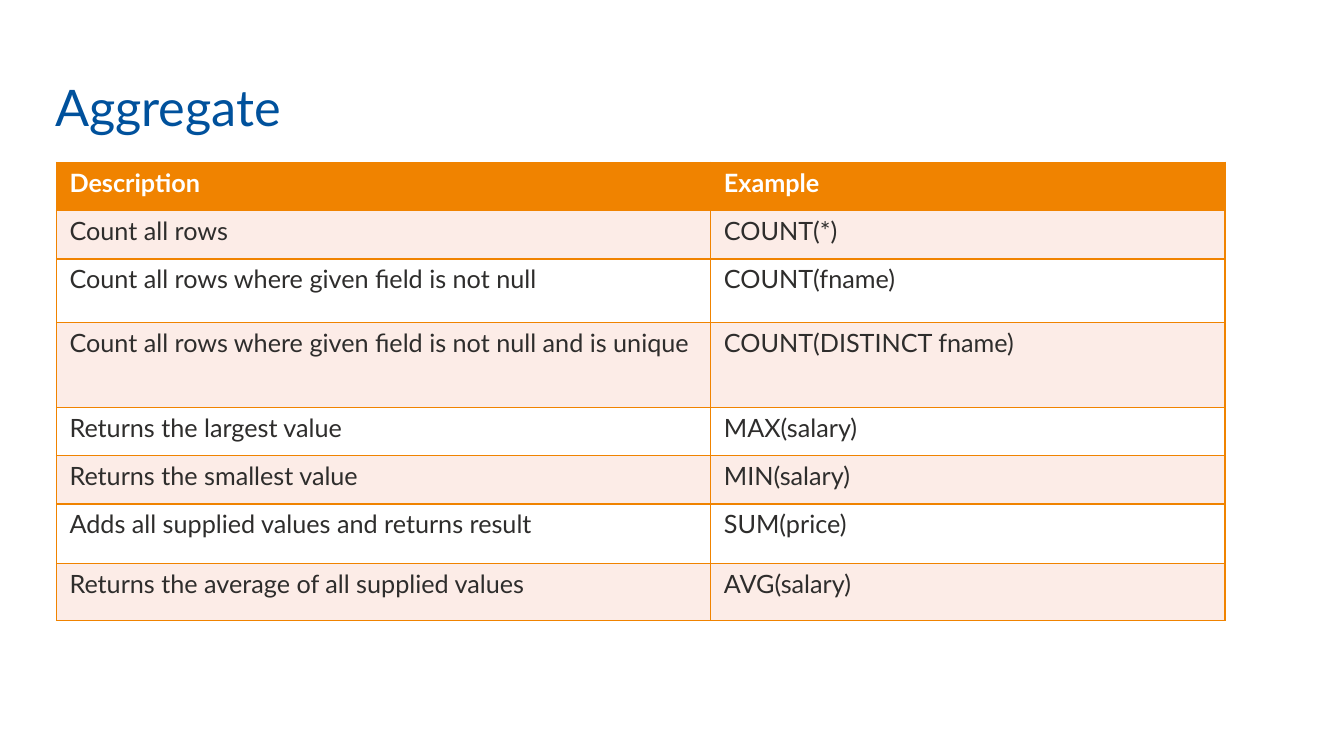
import pptx
import pptx.dml.color
import pptx.enum.text
import pptx.oxml.ns
import pptx.util
from lxml import etree

Inches = pptx.util.Inches
Pt = pptx.util.Pt

FONT = "Lato"
ORANGE, PINK, WHITE = "F08300", "FCECE7", "FFFFFF"
BLUE, DARK = "00519C", "2E2D2C"
COLUMN_WIDTHS = [6.49, 5.1]
ROWS = [
    (0.48, "Description", "Example"),
    (0.48, "Count all rows", "COUNT(*)"),
    (0.63, "Count all rows where given field is not null", "COUNT(fname)"),
    (0.84, "Count all rows where given field is not null and is unique", "COUNT(DISTINCT fname)"),
    (0.48, "Returns the largest value", "MAX(salary)"),
    (0.48, "Returns the smallest value", "MIN(salary)"),
    (0.59, "Adds all supplied values and returns result", "SUM(price)"),
    (0.57, "Returns the average of all supplied values", "AVG(salary)"),
]


def rgb(value):
    return pptx.dml.color.RGBColor.from_string(value)


def add_run(para, text, size, color, bold=False):
    span = para.add_run()
    span.text = text
    span.font.name = FONT
    span.font.size = Pt(size)
    span.font.bold = bold
    span.font.color.rgb = rgb(color)


def add_title(page, text):
    box = page.shapes.add_textbox(Inches(0.45), Inches(0.14), Inches(9.98), Inches(1.26))
    frame = box.text_frame
    frame.word_wrap = True
    frame.vertical_anchor = pptx.enum.text.MSO_ANCHOR.BOTTOM
    add_run(frame.paragraphs[0], text, 36, BLUE)


def add_borders(cell, color, width):
    qn = pptx.oxml.ns.qn
    properties = cell._tc.get_or_add_tcPr()
    for side in ("a:lnL", "a:lnR", "a:lnT", "a:lnB"):
        line = etree.SubElement(properties, qn(side), w=str(Pt(width)))
        fill = etree.SubElement(line, qn("a:solidFill"))
        etree.SubElement(fill, qn("a:srgbClr"), val=color)


def fill_cell(cell, text, fill, color, bold):
    cell.margin_left = cell.margin_right = Inches(0.13)
    cell.margin_top = cell.margin_bottom = Inches(0.05)
    add_borders(cell, ORANGE, 0.96)
    cell.fill.solid()
    cell.fill.fore_color.rgb = rgb(fill)
    add_run(cell.text_frame.paragraphs[0], text, 18, color, bold)


def add_function_table(page):
    height = sum(row[0] for row in ROWS)
    frame = page.shapes.add_table(
        len(ROWS), len(COLUMN_WIDTHS),
        Inches(0.56), Inches(1.61), Inches(sum(COLUMN_WIDTHS)), Inches(height),
    )
    table = frame.table
    for column, width in zip(table.columns, COLUMN_WIDTHS):
        column.width = Inches(width)
    for index, (row_height, *texts) in enumerate(ROWS):
        table.rows[index].height = Inches(row_height)
        header = index == 0
        fill = ORANGE if header else PINK if index % 2 else WHITE
        color = WHITE if header else DARK
        for cell, text in zip(table.rows[index].cells, texts):
            fill_cell(cell, text, fill, color, header)


def main():
    deck = pptx.Presentation()
    deck.slide_width = Inches(13.33)
    deck.slide_height = Inches(7.5)
    page = deck.slides.add_slide(deck.slide_layouts[6])
    add_title(page, "Aggregate")
    add_function_table(page)
    deck.save("out.pptx")


if __name__ == "__main__":
    main()
